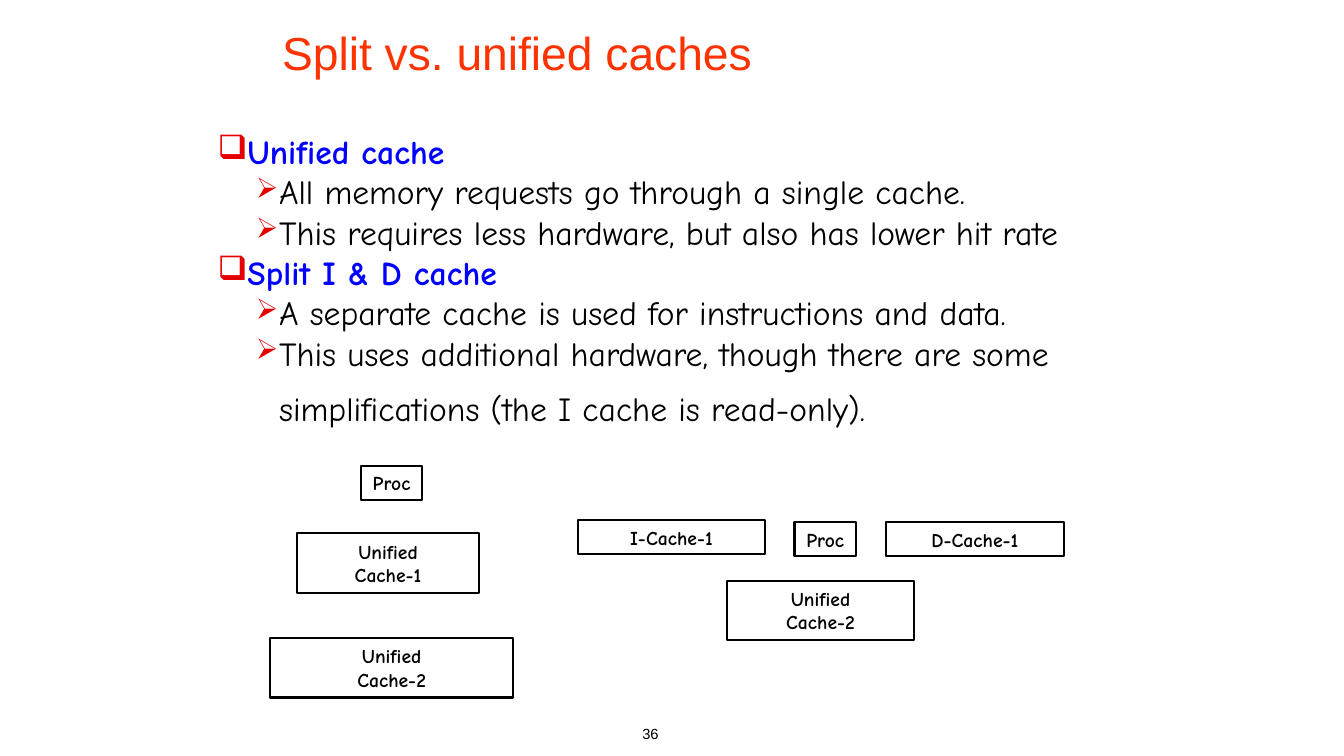
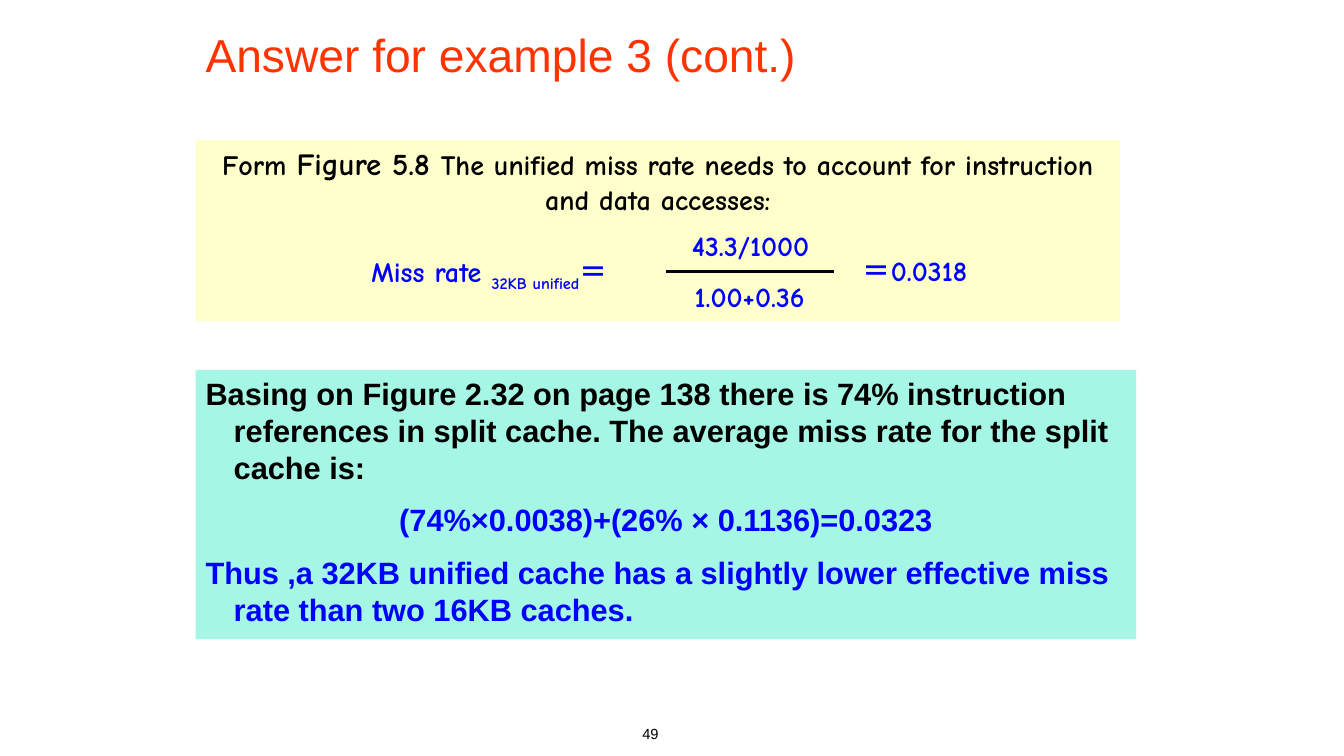
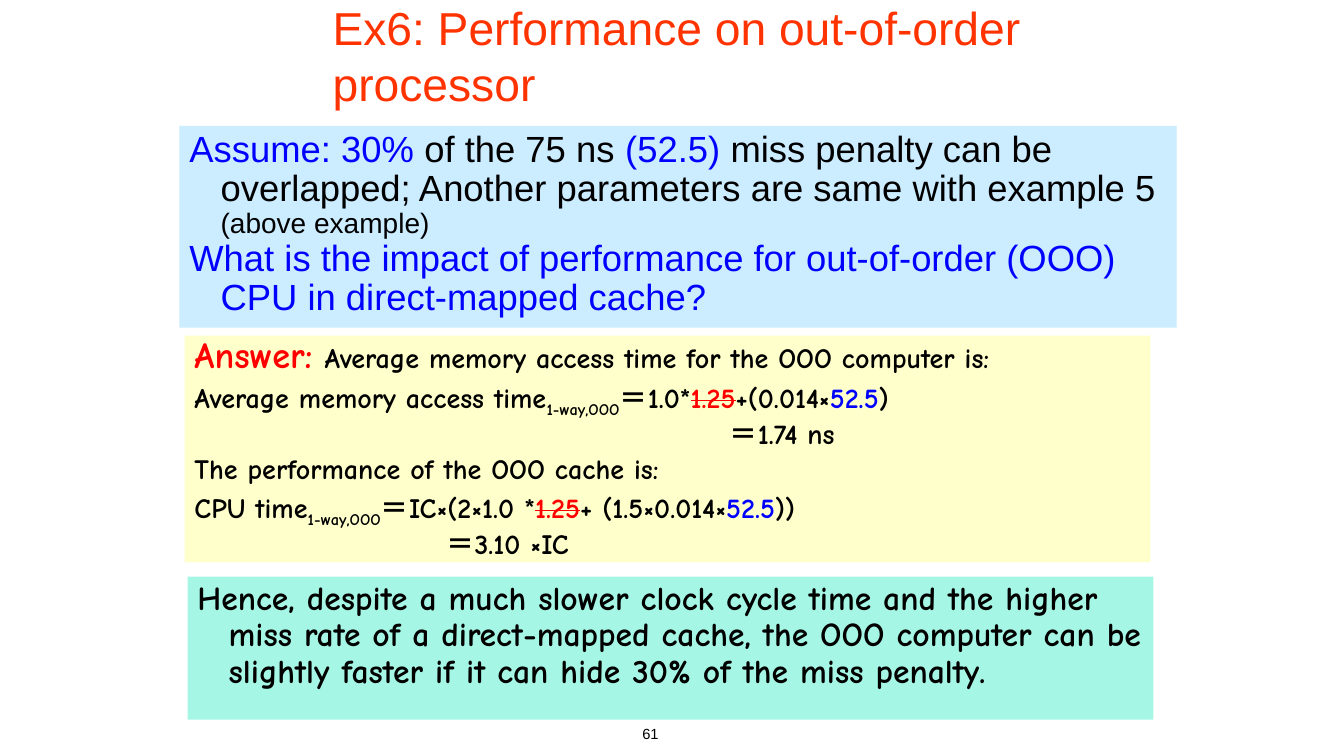
import pptx
import pptx.util
import pptx.dml.color
import pptx.enum.shapes
import pptx.enum.text
import pptx.oxml.ns
from lxml import etree

PX = 9144  # one px is a hundredth of an inch
Pt = pptx.util.Pt
ALIGN = pptx.enum.text.PP_ALIGN
ANCHOR = pptx.enum.text.MSO_ANCHOR
RECT = pptx.enum.shapes.MSO_SHAPE.RECTANGLE
LINE = pptx.enum.shapes.MSO_CONNECTOR.STRAIGHT


class Theme:
    black, blue, red = "000000", "0000FF", "FF0000"
    mark, cream, mint, sky = "E40000", "FFFFCC", "A6F6E5", "CCECFF"
    sans, hand = "Arial", "Comic Neue"
    # Text styles
    title = dict(name=sans, size=Pt(33), color="FF3300")
    page = dict(name=sans, size=Pt(10.5), color=black)
    list = dict(name=hand, size=Pt(24), color=black)
    box = dict(name=hand, size=Pt(14), color=black, bold=True)
    note = dict(name=hand, size=Pt(20), color=black, bold=True)
    math = dict(note, color=blue)
    claim = dict(name=sans, size=Pt(22), color=black, bold=True)
    ask = dict(name=sans, size=Pt(26), color=black)
    close = dict(note, size=Pt(24))
    # Run changes
    key = dict(color=blue)
    head = dict(color=blue, bold=True)
    sub = dict(baseline="-25000")
    cut = dict(color=red, strike="sngStrike")
    # Paragraph looks
    mid = dict(alignment=ALIGN.CENTER)
    top = dict(left=28, hang=-28, bullet=("❑", 100))
    item = dict(left=61, hang=-23, bullet=("➢", 85))


def rgb(code):
    return pptx.dml.color.RGBColor.from_string(code)


def px(*nums):
    return [num * PX for num in nums]


# Text parts
def set_run(run, style):
    for key, val in style.items():
        if key == "color":
            run.font.color.rgb = rgb(val)
        elif key in ("strike", "baseline"):
            run.font._element.set(key, val)
        else:
            setattr(run.font, key, val)


def set_bullet(props, sign, size):
    def add(tag, host=props, **vals):
        return etree.SubElement(host, pptx.oxml.ns.qn("a:" + tag), **vals)

    add("srgbClr", add("buClr"), val=Theme.mark)
    add("buSzPct", val=str(size * 1000))
    add("buChar", char=sign)


def set_para(para, look):
    props = para._p.get_or_add_pPr()
    for key, val in look.items():
        if key == "left":
            props.set("marL", str(val * PX))
        elif key == "hang":
            props.set("indent", str(val * PX))
        elif key != "bullet":
            setattr(para, key, val)
    if "bullet" in look:
        set_bullet(props, *look["bullet"])


def put_text(shape, style, paras, wrap=True, anchor=ANCHOR.TOP):
    """Each paragraph is (look, run, ...); a run is text or (text, changes)."""
    frame = shape.text_frame
    form = dict(word_wrap=wrap, vertical_anchor=anchor, margin_left=10 * PX,
                margin_right=10 * PX, margin_top=5 * PX, margin_bottom=5 * PX)
    for key, val in form.items():
        setattr(frame, key, val)
    for num, (look, *runs) in enumerate(paras):
        para = frame.add_paragraph() if num else frame.paragraphs[0]
        set_para(para, dict(dict(alignment=ALIGN.LEFT), **look))
        for part in runs:
            text, diff = (part, {}) if isinstance(part, str) else part
            run = para.add_run()
            run.text = text
            set_run(run, dict(style, **diff))


# Kinds of element
def label(slide, place, style, paras, **form):
    put_text(slide.shapes.add_textbox(*px(*place)), style, paras, **form)


def panel(slide, place, fill, style, paras):
    shape = slide.shapes.add_shape(RECT, *px(*place))
    shape.shadow.inherit = False
    shape.fill.solid()
    shape.fill.fore_color.rgb = rgb(fill)
    shape.line.fill.background()
    put_text(shape, style, paras)


def block(slide, place, *lines):
    shape = slide.shapes.add_shape(RECT, *px(*place))
    shape.shadow.inherit = False
    shape.fill.background()
    shape.line.color.rgb = rgb(Theme.black)
    shape.line.width = Pt(1.5)
    put_text(shape, Theme.box, [(Theme.mid, line) for line in lines],
             wrap=len(lines) > 1, anchor=ANCHOR.MIDDLE)


def rule(slide, left, right, top):
    line = slide.shapes.add_connector(LINE, *px(left, top, right, top))
    line.line.color.rgb = rgb(Theme.black)
    line.line.width = Pt(2.25)
    etree.SubElement(line._element.spPr, pptx.oxml.ns.qn("a:effectLst"))


def new_slide(deck, title, place, page):
    slide = deck.slides.add_slide(deck.slide_layouts[6])
    label(slide, (385, 714, 278, 50), Theme.page,
          [(dict(alignment=ALIGN.RIGHT), page)])
    label(slide, place, Theme.title, [({}, title)], anchor=ANCHOR.MIDDLE)
    return slide


# Slides
def split_slide(deck):
    slide = new_slide(deck, "Split vs. unified caches", (270, 13, 738, 78), "36")
    top, item, head = Theme.top, Theme.item, Theme.head
    label(slide, (206, 125, 983, 333), Theme.list, [
        (top, ("Unified cache", head)),
        (item, "All memory requests go through a single cache."),
        (item, "This requires less hardware, but also has lower hit rate"),
        (top, ("Split I & D cache", head)),
        (item, "A separate cache is used for instructions and data."),
        (item, "This uses additional hardware, though there are some "
               "simplifications (the I cache is read-only).",
         (" ", dict(name=Theme.sans, size=Pt(35)))),
    ])
    for place, *lines in [
        ((358, 462, 61, 34), "Proc"),
        ((295, 529, 180, 59), "Unified", "Cache-1"),
        ((268, 633, 241, 59), "Unified", "Cache-2"),
        ((788, 518, 61, 34), "Proc"),
        ((573, 516, 186, 34), "I-Cache-1"),
        ((879, 518, 176, 34), "D-Cache-1"),
        ((721, 576, 186, 59), "Unified", "Cache-2"),
    ]:
        block(slide, place, *lines)


def rate_slide(deck):
    slide = new_slide(deck, "Answer for example 3 (cont.)",
                      (194, 0, 1103, 107), "49")
    hang = dict(left=28, hang=-28)
    gap = dict(hang, space_before=Pt(11))
    panel(slide, (194, 367, 933, 267), Theme.mint, Theme.claim, [
        (hang, "Basing on Figure 2.32 on page 138 there is 74% instruction "
               "references in split cache. The average miss rate for the "
               "split cache is:"),
        (dict(gap, **Theme.mid),
         ("(74%×0.0038)+(26% × 0.1136)=0.0323", Theme.key)),
        (gap, ("Thus ,a 32KB unified cache has a slightly lower effective "
               "miss rate than two 16KB caches.", Theme.key)),
    ])
    panel(slide, (194, 139, 917, 180), Theme.cream, Theme.note, [
        (Theme.mid, "Form ", ("Figure 5.8 ", dict(size=Pt(22))),
         "The unified miss rate needs to account for instruction and data "
         "accesses:"),
    ])
    # Fraction
    for place, *runs in [
        ((333, 248, 305, 44), "Miss rate ", ("32KB unified", Theme.sub), "＝"),
        ((662, 222, 165, 43), "43.3/1000"),
        ((662, 272, 163, 43), "1.00+0.36"),
        ((835, 247, 145, 43), "＝0.0318"),
    ]:
        label(slide, place, Theme.math, [(Theme.mid, *runs)], wrap=False)
    rule(slide, 661, 827, 269)


def order_slide(deck):
    slide = new_slide(deck, "Ex6: Performance on out-of-order processor",
                      (320, 13, 821, 83), "61")
    key, sub, cut = Theme.key, Theme.sub, Theme.cut
    hang = dict(left=31, hang=-31, line_spacing=0.9)
    panel(slide, (178, 125, 989, 200), Theme.sky, Theme.ask, [
        (hang, ("Assume: 30%", key), " of the 75 ns ", ("(52.5)", key),
         " miss penalty can be overlapped; Another parameters are same with "
         "example 5 ", ("(above example)", dict(size=Pt(20)))),
        (hang, ("What is the impact of performance for out-of-order (OOO) "
                "CPU in direct-mapped cache?", key)),
    ])
    # Worked answer
    tight = dict(hang, line_spacing=0.8)
    step = dict(tight, space_before=Pt(6))
    panel(slide, (183, 333, 958, 225), Theme.cream, Theme.note, [
        (tight, ("Answer:", dict(size=Pt(26), color=Theme.red)),
         (" ", dict(size=Pt(24))),
         "Average memory access time for the OOO computer is:"),
        (step, "Average memory access time", ("1-way,OOO", sub), "＝1.0*",
         ("1.25", cut), "+(0.014×", ("52.5", key), ")"),
        (dict(step, left=531, hang=0), "＝1.74 ns"),
        (step, "The performance of the OOO cache is:"),
        (step, "CPU time", ("1-way,OOO", sub), "＝IC×(2×1.0 *",
         ("1.25", cut), "+ (1.5×0.014×", ("52.5", key), "))"),
        (dict(step, left=250, hang=0), "＝3.10 ×IC"),
    ])
    panel(slide, (186, 572, 958, 142), Theme.mint, Theme.close, [
        (hang, "Hence, despite a much slower clock cycle time and the higher "
               "miss rate of a direct-mapped cache, the OOO computer can be "
               "slightly faster if it can hide 30% of the miss penalty."),
    ])


def main():
    deck = pptx.Presentation()
    deck.slide_width, deck.slide_height = px(1333, 750)
    for build in (split_slide, rate_slide, order_slide):
        build(deck)
    deck.save("out.pptx")


if __name__ == "__main__":
    main()
